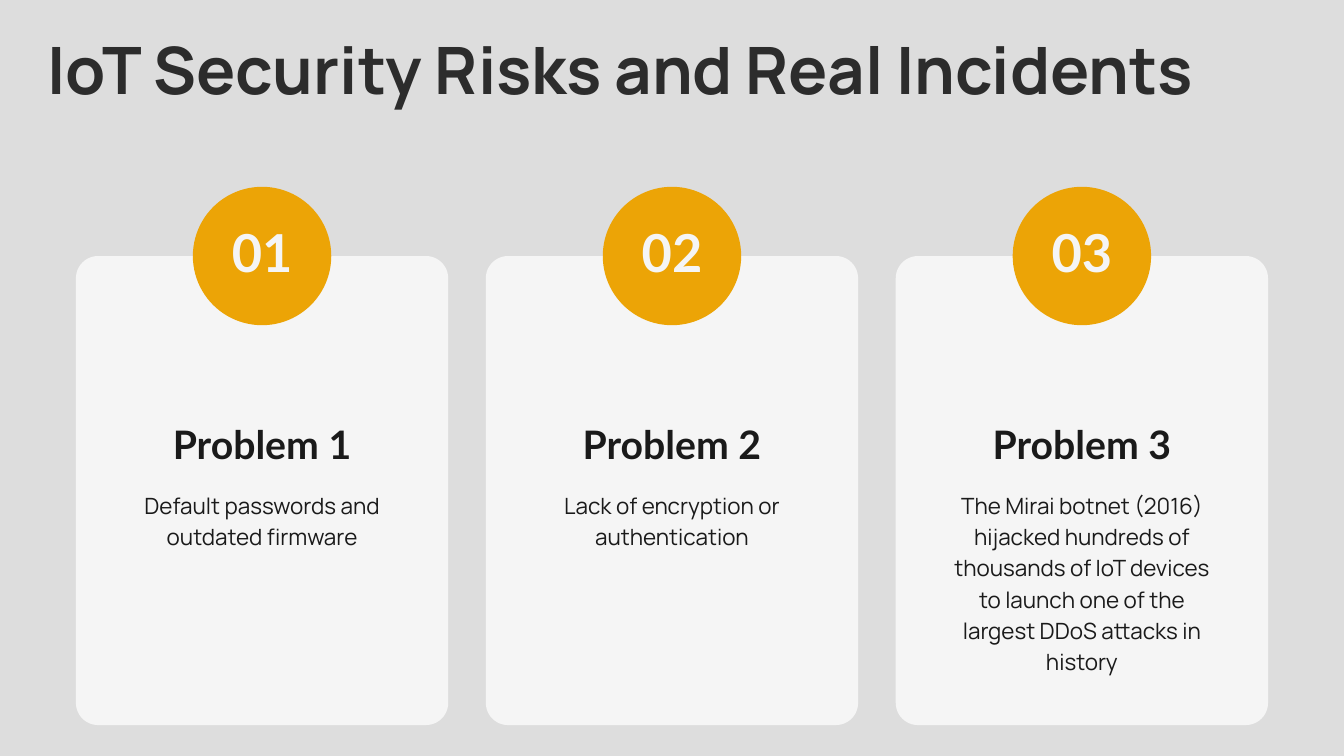
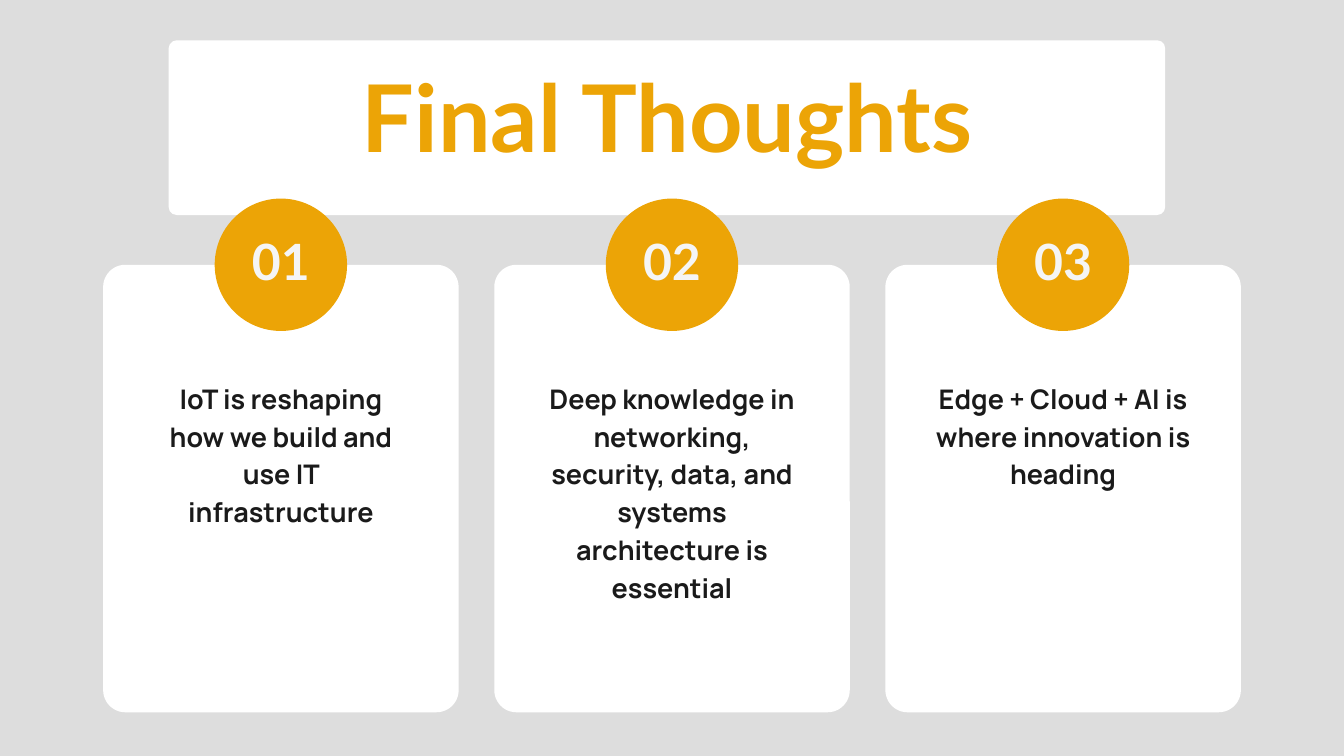
import pptx
import pptx.util
import pptx.dml.color
import pptx.enum.shapes
import pptx.enum.text

Inches, Pt = pptx.util.Inches, pptx.util.Pt
SHAPE = pptx.enum.shapes.MSO_SHAPE
ALIGN = pptx.enum.text.PP_ALIGN

COLORS = {
    "background": "DDDDDD",
    "accent": "ECA406",
    "pale": "F5F5F5",
    "white": "FFFFFF",
    "title": "2C2C2C",
    "ink": "1A1A1A",
}
SLIDE_W, SLIDE_H = 20, 11.25
CENTER = SLIDE_W / 2
CORNER = 0.33  # corner radius of the cards

# Each tuple of text style: font, size, line spacing, colour, bold
DECK = [
    {
        "title": "IoT Security Risks and Real Incidents",
        "title_box": (0.71, 0.53, 18.59, 1.18),
        "title_style": ("Manrope", 70, 77, "title", True),
        "title_align": ALIGN.LEFT,
        "banner": None,
        "card_fill": "pale",
        "card_size": (5.54, 6.98), "gap": 0.56, "card_top": 3.81,
        "circle": 2.06,
        "number_box": (3.28, 1.69, 1.0),
        "number_style": ("Lato", 56, 67.2, "pale", True),
        "heading_box": (6.25, 4.87, 0.76),
        "heading_style": ("Lato", 42, 50.4, "ink", True),
        "body_box": (7.25, 4.0, 2.76),
        "body_style": ("Manrope", 24, 33.6, "ink", False),
        "cards": [
            ("Problem 1", "Default passwords and outdated firmware"),
            ("Problem 2", "Lack of encryption or authentication"),
            ("Problem 3", "The Mirai botnet (2016) hijacked hundreds of thousands of IoT "
                          "devices to launch one of the largest DDoS attacks in history"),
        ],
    },
    {
        "title": "Final Thoughts",
        "title_box": (2.3, 1.16, 15.25, 1.57),
        "title_style": ("Lato", 100, 100, "accent", True),
        "title_align": ALIGN.CENTER,
        "banner": (2.51, 0.6, 14.83, 2.6),
        "card_fill": "white",
        "card_size": (5.29, 6.66), "gap": 0.53, "card_top": 3.94,
        "circle": 1.97,
        "number_box": (3.43, 1.61, 0.96),
        "number_style": ("Lato", 53.5, 64.2, "pale", True),
        "body_box": (5.61, 3.82, 3.87),
        "body_style": ("Manrope", 28.9, 40.5, "ink", True),
        "cards": [
            (None, "IoT is reshaping how we build and use IT infrastructure"),
            (None, "Deep knowledge in networking, security, data, and systems "
                   "architecture is essential"),
            (None, "Edge + Cloud + AI is where innovation is heading"),
        ],
    },
]


def add_panel(slide, kind, box, color, radius=None):
    """Draw a flat filled shape without outline; radius is in inches."""
    panel = slide.shapes.add_shape(kind, *map(Inches, box))
    panel.shadow.inherit = False
    panel.fill.solid()
    panel.fill.fore_color.rgb = pptx.dml.color.RGBColor.from_string(COLORS[color])
    panel.line.fill.background()
    if radius:
        panel.adjustments[0] = radius / min(box[2:])


def write(holder, text, style, align=ALIGN.CENTER):
    """Fill a text box or placeholder with one styled paragraph, without insets."""
    font_name, size, spacing, color, bold = style
    frame = holder.text_frame
    frame.margin_left = frame.margin_top = frame.margin_right = frame.margin_bottom = 0
    frame.word_wrap = True
    frame.auto_size = pptx.enum.text.MSO_AUTO_SIZE.NONE
    frame.vertical_anchor = pptx.enum.text.MSO_ANCHOR.TOP
    frame.text = text
    paragraph = frame.paragraphs[0]
    paragraph.alignment = align
    paragraph.line_spacing = Pt(spacing)
    paragraph.font.name = font_name
    paragraph.font.size = Pt(size)
    paragraph.font.bold = bold
    paragraph.font.color.rgb = pptx.dml.color.RGBColor.from_string(COLORS[color])


deck = pptx.Presentation()
deck.slide_width, deck.slide_height = Inches(SLIDE_W), Inches(SLIDE_H)
backdrop = deck.slide_master.background.fill
backdrop.solid()
backdrop.fore_color.rgb = pptx.dml.color.RGBColor.from_string(COLORS["background"])
title_only = deck.slide_layouts.get_by_name("Title Only")

for page in DECK:
    slide = deck.slides.add_slide(title_only)
    if page["banner"]:
        add_panel(slide, SHAPE.ROUNDED_RECTANGLE, page["banner"], "white", 0.12)

    title = slide.shapes.title
    title.left, title.top, title.width, title.height = map(Inches, page["title_box"])
    write(title, page["title"], page["title_style"], page["title_align"])
    slide.shapes.element.append(title.element)  # bring the title in front of the banner

    card_w, card_h = page["card_size"]
    card_top, circle = page["card_top"], page["circle"]
    for column, (heading, body) in enumerate(page["cards"]):
        middle = CENTER + (column - 1) * (card_w + page["gap"])
        add_panel(slide, SHAPE.ROUNDED_RECTANGLE,
                  (middle - card_w / 2, card_top, card_w, card_h), page["card_fill"], CORNER)
        add_panel(slide, SHAPE.OVAL,
                  (middle - circle / 2, card_top - circle / 2, circle, circle), "accent")

        for part, text in (("number", f"{column + 1:02}"), ("heading", heading), ("body", body)):
            if text:
                top, width, height = page[part + "_box"]
                box = (middle - width / 2, top, width, height)
                write(slide.shapes.add_textbox(*map(Inches, box)), text, page[part + "_style"])

deck.save("out.pptx")
